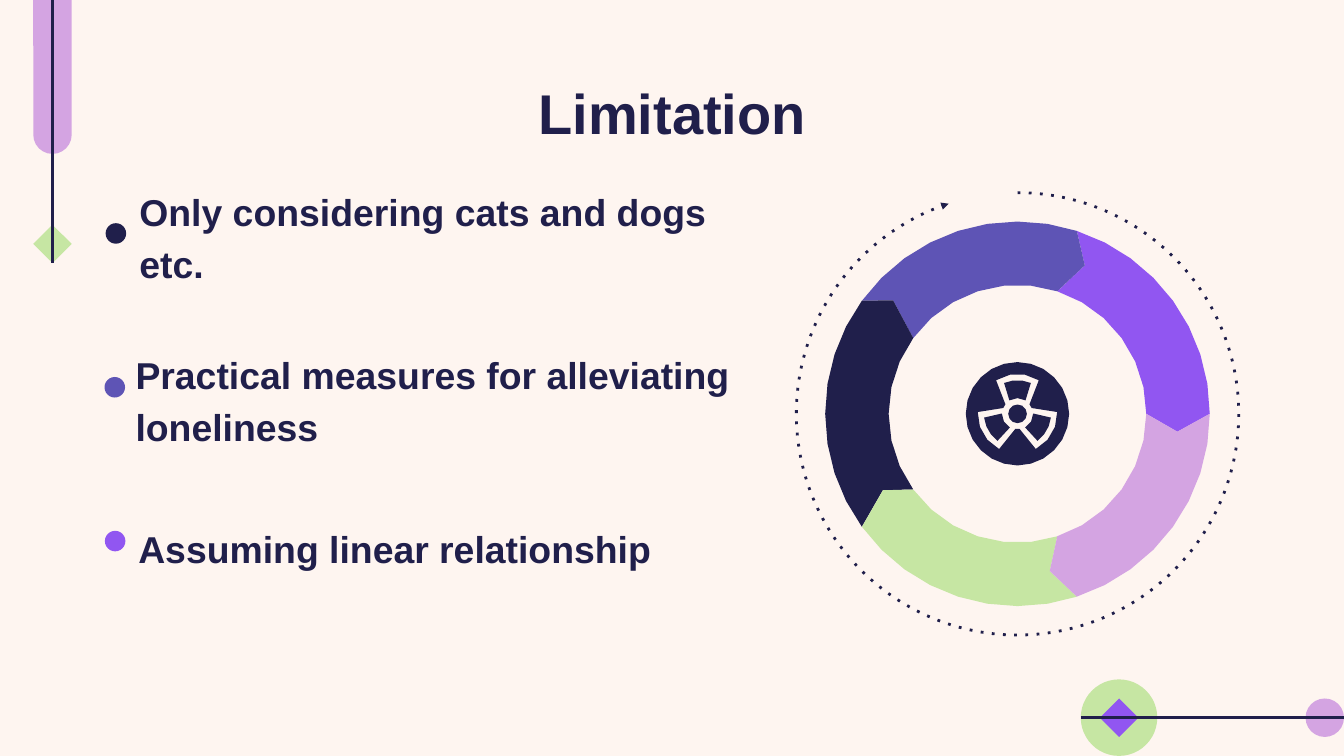
from dataclasses import dataclass
from math import cos, radians, sin

from lxml import etree
from pptx import Presentation
from pptx.dml.color import RGBColor
from pptx.enum.shapes import MSO_CONNECTOR, MSO_SHAPE
from pptx.enum.text import MSO_ANCHOR, MSO_AUTO_SIZE, PP_ALIGN
from pptx.oxml.ns import qn
from pptx.util import Pt

OVAL, DIAMOND = MSO_SHAPE.OVAL, MSO_SHAPE.DIAMOND
PILL, ARC = MSO_SHAPE.ROUNDED_RECTANGLE, MSO_SHAPE.ARC
STRAIGHT = MSO_CONNECTOR.STRAIGHT
TOP, MIDDLE = MSO_ANCHOR.TOP, MSO_ANCHOR.MIDDLE
LEFT, CENTER = PP_ALIGN.LEFT, PP_ALIGN.CENTER


@dataclass(frozen=True)
class Theme:
    cream: RGBColor = RGBColor.from_string("FEF5F0")
    navy: RGBColor = RGBColor.from_string("201F4B")
    indigo: RGBColor = RGBColor.from_string("5E54B5")
    violet: RGBColor = RGBColor.from_string("9156F1")
    lilac: RGBColor = RGBColor.from_string("D4A4E2")
    green: RGBColor = RGBColor.from_string("C6E6A3")
    font: str = "Arial"
    title_size: int = 30
    item_size: int = 20
    stroke: float = 1.5


THEME = Theme()

# Each limitation: text, marker colour, marker left and top, text box left, top and width
LIMITATIONS = [
    ("Only considering cats and dogs etc.", THEME.navy, (56.6, 119.6), (67.6, 103.4, 343.5)),
    ("Practical measures for alleviating loneliness", THEME.indigo, (56, 202), (65.5, 190.8, 359)),
    ("Assuming linear relationship", THEME.violet, (56.2, 284.4), (67, 270, 343.5)),
]

# Each stage of the cycle, counter-clockwise: colour, radius of the notch where it starts
STAGES = [(THEME.violet, 87.3), (THEME.indigo, 90.2), (THEME.navy, 82.9),
          (THEME.green, 86), (THEME.lilac, 86.2)]


def set_all(target, values):
    for name, value in values.items():
        setattr(target, name, value)


def paint(shape, color):
    """Give a shape a plain fill with neither outline nor shadow."""
    shape.shadow.inherit = False
    shape.fill.solid()
    shape.fill.fore_color.rgb = color
    shape.line.fill.background()
    return shape


def add_solid(slide, preset, left, top, width, height, color):
    shape = slide.shapes.add_shape(preset, Pt(left), Pt(top), Pt(width), Pt(height))
    return paint(shape, color)


def add_circle(slide, center, radius, color):
    x, y = center
    return add_solid(slide, OVAL, x - radius, y - radius, 2 * radius, 2 * radius, color)


def add_outline(slide, contours, color):
    """Draw closed contours, given as points, as one filled shape."""
    first = contours[0]
    builder = slide.shapes.build_freeform(*first[0], scale=1.0)
    builder.add_line_segments(first[1:], close=True)
    for contour in contours[1:]:
        builder.move_to(*contour[0])
        builder.add_line_segments(contour[1:], close=True)
    return paint(builder.convert_to_shape(), color)


def polar(center, radius, angle):
    """Point at an angle counted clockwise from the top, in degrees."""
    turn = radians(angle)
    return Pt(center[0] + radius * sin(turn)), Pt(center[1] - radius * cos(turn))


def curve(center, radius, start, end, steps):
    return [polar(center, radius, start + (end - start) * i / steps) for i in range(steps + 1)]


def stroke_line(slide, x1, y1, x2, y2):
    rail = slide.shapes.add_connector(STRAIGHT, Pt(x1), Pt(y1), Pt(x2), Pt(y2))
    rail.line.color.rgb = THEME.navy
    rail.line.width = Pt(THEME.stroke)
    etree.SubElement(rail._element.spPr, qn("a:effectLst"))


def write(shape, text, size, anchor, align, spacing):
    frame = shape.text_frame
    set_all(frame, {
        "text": text, "word_wrap": True, "auto_size": MSO_AUTO_SIZE.NONE,
        "vertical_anchor": anchor, "margin_left": Pt(7.2), "margin_right": Pt(7.2),
        "margin_top": Pt(7.2), "margin_bottom": Pt(7.2),
    })
    paragraph = frame.paragraphs[0]
    set_all(paragraph, {"alignment": align, "line_spacing": spacing})
    font = paragraph.runs[0].font
    set_all(font, {"name": THEME.font, "size": Pt(size), "bold": True})
    font.color.rgb = THEME.navy


def add_corner_rail(slide, left, top, width, height):
    """Horizontal rail with a ringed diamond at its start and a dot at its end."""
    mark = 20.6
    middle = top + height / 2
    add_solid(slide, OVAL, left, top, height, height, THEME.green)
    add_solid(slide, DIAMOND, left + (height - mark) / 2, middle - mark / 2, mark, mark, THEME.violet)
    add_solid(slide, OVAL, left + width - mark, middle - mark / 2, mark, mark, THEME.lilac)
    stroke_line(slide, left, middle, left + width, middle)


def add_hanging_rail(slide, left, top, width, height):
    """Vertical rail through a pill that hangs from the edge, ending in a diamond."""
    pill_length, pill_middle = 97, 34
    middle = left + width / 2
    pill = add_solid(slide, PILL, middle - pill_length / 2, top + pill_middle - width / 2,
                     pill_length, width, THEME.lilac)
    pill.adjustments[0] = 0.5
    pill.rotation = 90
    add_solid(slide, DIAMOND, left, top + height - width, width, width, THEME.green)
    stroke_line(slide, middle, top, middle, top + height)


def add_title(slide, left, top, width, height):
    title = slide.shapes.title
    set_all(title, {"left": Pt(left), "top": Pt(top), "width": Pt(width), "height": Pt(height)})
    write(title, "Limitation", THEME.title_size, TOP, CENTER, 1.0)


def add_limitations(slide):
    marker, height = 11, 44
    for text, color, (dot_left, dot_top), (left, top, width) in LIMITATIONS:
        add_solid(slide, OVAL, dot_left, dot_top, marker, marker, color)
        box = slide.shapes.add_textbox(Pt(left), Pt(top), Pt(width), Pt(height))
        write(box, text, THEME.item_size, MIDDLE, LEFT, 1.15)


def add_orbit(slide, left, top, size):
    """Dotted circular arrow."""
    orbit = slide.shapes.add_shape(ARC, Pt(left), Pt(top), Pt(size), Pt(size))
    orbit.shadow.inherit = False
    orbit.fill.background()
    orbit.adjustments[0], orbit.adjustments[1] = 162, 151.11
    orbit.line.color.rgb = THEME.navy
    orbit.line.width = Pt(THEME.stroke)
    stroke = orbit.line._get_or_add_ln()
    etree.SubElement(stroke, qn("a:prstDash"), val="dot")
    etree.SubElement(stroke, qn("a:tailEnd"), type="triangle", w="sm", len="sm")


def add_trefoil(slide, center):
    """Disc with a three-bladed opening, a smaller blade in each arm and a hub."""
    axes = (0, 120, 240)
    opening = []
    for axis in axes:
        opening += [polar(center, 8.2, axis - 52), *curve(center, 21.3, axis - 32.5, axis + 32.5, 3),
                    polar(center, 8.2, axis + 52)]
    add_outline(slide, [curve(center, 27.7, 0, 345, 23), opening], THEME.navy)
    for axis in axes:
        blade = [*curve(center, 18, axis - 23.5, axis + 23.5, 3),
                 *curve(center, 8.4, axis + 31, axis - 31, 2)]
        add_outline(slide, [blade], THEME.navy)
    add_circle(slide, center, 5, THEME.navy)


def add_cycle(slide, left, top, size):
    outer, inner = 103, 69
    sweep, lead = 360 / len(STAGES), 6.4
    center = (left + size / 2, top + size / 2)
    add_orbit(slide, left, top, size)
    for index, (color, start_notch) in enumerate(STAGES):
        end_notch = STAGES[index - 1][1]
        start = 18 - index * sweep
        end = start + sweep
        segment = [*curve(center, outer, start, end, 8), polar(center, end_notch, end + lead),
                   *curve(center, inner, end, start, 6), polar(center, start_notch, start + lead)]
        add_outline(slide, [segment], color)
    add_circle(slide, center, 46.4, THEME.cream)
    add_trefoil(slide, center)


def main():
    deck = Presentation()
    set_all(deck, {"slide_width": Pt(720), "slide_height": Pt(405)})
    slide = deck.slides.add_slide(deck.slide_layouts[5])
    slide.background.fill.solid()
    slide.background.fill.fore_color.rgb = THEME.cream
    add_corner_rail(slide, 579, 364, 141, 41)
    add_hanging_rail(slide, 17.8, 0, 20.6, 141)
    add_title(slide, 56.6, 35, 607, 45)
    add_limitations(slide)
    add_cycle(slide, 426.6, 103.2, 237)
    deck.save("out.pptx")


if __name__ == "__main__":
    main()
